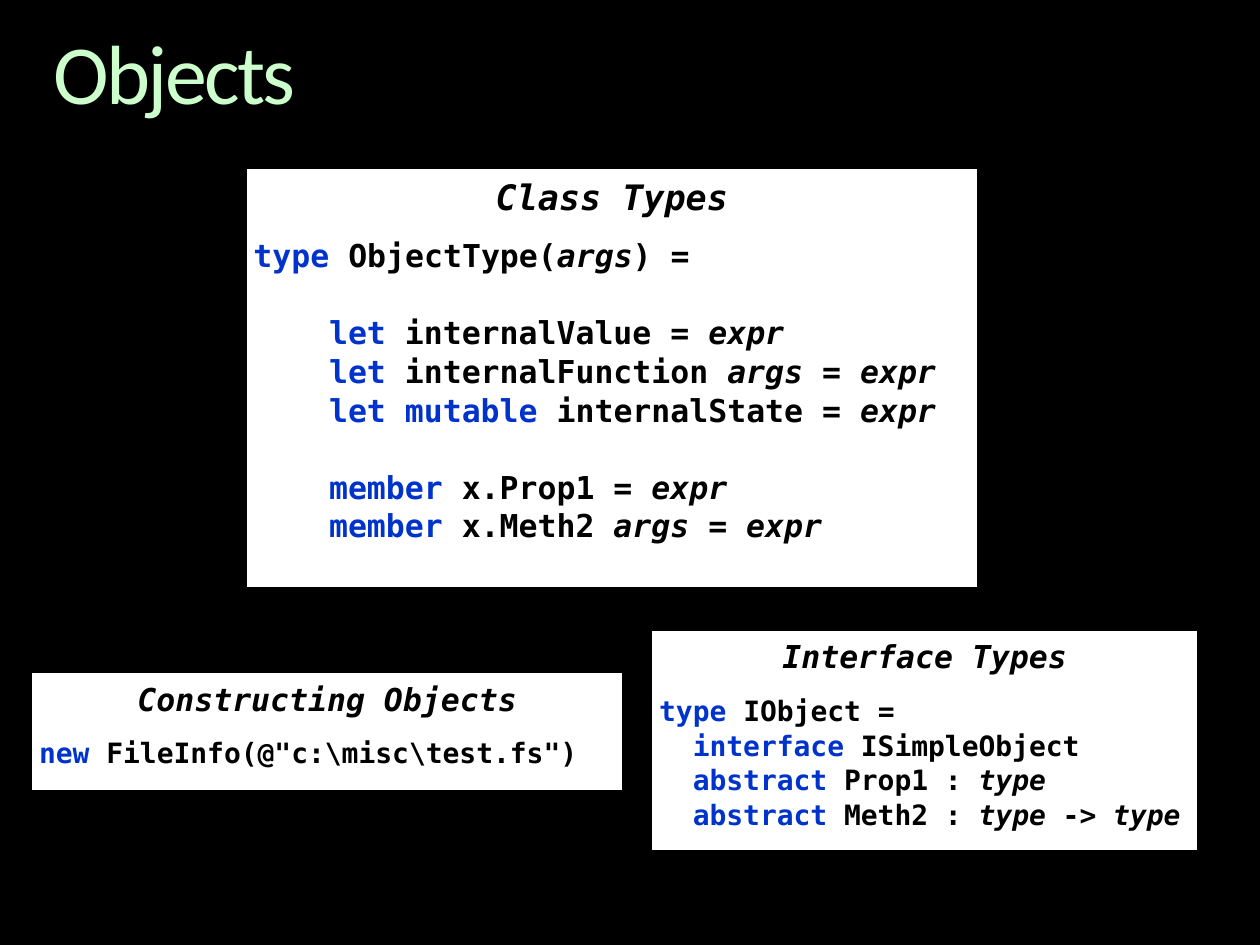
"""Build the slide that shows the syntax of object types."""
from dataclasses import dataclass

from pptx import Presentation
from pptx.dml.color import RGBColor
from pptx.enum.shapes import MSO_SHAPE
from pptx.enum.text import MSO_ANCHOR, MSO_AUTO_SIZE, PP_ALIGN
from pptx.slide import Slide
from pptx.util import Cm, Pt

RECTANGLE = MSO_SHAPE.RECTANGLE
TOP = MSO_ANCHOR.TOP
FIT_SHAPE = MSO_AUTO_SIZE.SHAPE_TO_FIT_TEXT
LEFT, CENTER = PP_ALIGN.LEFT, PP_ALIGN.CENTER

COLORS = {
    "background": "000000",
    "title": "CCFFCC",
    "panel": "FFFFFF",
    "code": "000000",
    "keyword": "0033CC",
}
TITLE_FONT = "Calibri"
CODE_FONT = "DejaVu Sans Mono"
CHARACTER_WIDTH = 0.6
LINE_SPACING = 1.03
LINE_HEIGHT = 1.2


@dataclass(frozen=True)
class Piece:
    text: str
    color: str = "code"
    italic: bool = False


@dataclass(frozen=True)
class Line:
    pieces: tuple[Piece, ...]
    indent: int = 0
    gap_before: bool = False


@dataclass(frozen=True)
class Panel:
    heading: str
    left: float
    top: float
    width: float
    height: float
    heading_size: int
    code_size: int
    lines: tuple[Line, ...]


def keyword(text: str) -> Piece:
    return Piece(text, color="keyword")


def variable(text: str) -> Piece:
    return Piece(text, italic=True)


EXPRESSION = variable("expr")
TYPE_NAME = variable("type")

PANELS = (
    Panel("Interface Types", 13.14, 12.7, 11, 4.45, 18, 16, (
        Line((keyword("type "), Piece("IObject ="))),
        Line((keyword("interface "), Piece("ISimpleObject")), 2),
        Line((keyword("abstract "), Piece("Prop1 : "), TYPE_NAME), 2),
        Line((keyword("abstract "), Piece("Meth2 : "), TYPE_NAME, Piece(" -> "), TYPE_NAME), 2),
    )),
    Panel("Class Types", 4.96, 3.39, 14.75, 8.46, 20, 18, (
        Line((keyword("type "), Piece("ObjectType("), variable("args"), Piece(") ="))),
        Line((keyword("let "), Piece("internalValue = "), EXPRESSION), 4, True),
        Line((keyword("let "), Piece("internalFunction "), variable("args "), Piece("= "), EXPRESSION), 4),
        Line((keyword("let mutable "), Piece("internalState = "), EXPRESSION), 4),
        Line((keyword("member "), Piece("x.Prop1 = "), EXPRESSION), 4, True),
        Line((keyword("member "), Piece("x.Meth2 "), variable("args"), Piece(" = "), EXPRESSION), 4),
    )),
    Panel("Constructing Objects", 0.64, 13.55, 11.91, 2.39, 18, 16, (
        Line((keyword("new "), Piece('FileInfo(@"c:\\misc\\test.fs")'))),
    )),
)


def color(name: str) -> RGBColor:
    return RGBColor.from_string(COLORS[name])


def format_title(slide: Slide, text: str) -> None:
    title = slide.shapes.title
    title.left, title.top, title.width, title.height = Cm(1.07), Cm(0.64), Cm(23.29), Cm(1.86)
    frame = title.text_frame
    frame.margin_left = frame.margin_right = frame.margin_top = frame.margin_bottom = 0
    frame.vertical_anchor = TOP
    frame.auto_size = FIT_SHAPE
    paragraph = frame.paragraphs[0]
    paragraph.alignment = LEFT
    paragraph.line_spacing = 0.9
    paragraph.font.name = TITLE_FONT
    paragraph.font.size = Pt(48)
    paragraph.font.color.rgb = color("title")
    run = paragraph.add_run()
    run.text = text
    run.font._element.set("spc", "-150")


def draw_panel(slide: Slide, panel: Panel) -> None:
    shape = slide.shapes.add_shape(
        RECTANGLE, Cm(panel.left), Cm(panel.top), Cm(panel.width), Cm(panel.height))
    shape.shadow.inherit = False
    shape.fill.solid()
    shape.fill.fore_color.rgb = color("panel")
    shape.line.color.rgb = color("background")
    shape.line.width = Pt(0.75)
    frame = shape.text_frame
    frame.word_wrap = True
    frame.vertical_anchor = TOP
    frame.margin_left = frame.margin_right = Cm(0.15)
    frame.margin_top = frame.margin_bottom = Cm(0.13)

    heading = frame.paragraphs[0]
    heading.alignment = CENTER
    heading.space_after = Pt(10)
    heading.line_spacing = LINE_SPACING
    heading.font.name = CODE_FONT
    heading.font.size = Pt(panel.heading_size)
    heading.font.bold = heading.font.italic = True
    heading.font.color.rgb = color("code")
    heading.add_run().text = panel.heading

    for line in panel.lines:
        paragraph = frame.add_paragraph()
        paragraph.alignment = LEFT
        paragraph.line_spacing = LINE_SPACING
        if line.gap_before:
            paragraph.space_before = Pt(panel.code_size * LINE_HEIGHT)
        indent = Pt(line.indent * CHARACTER_WIDTH * panel.code_size)
        paragraph._p.get_or_add_pPr().set("marL", str(int(indent)))
        paragraph.font.name = CODE_FONT
        paragraph.font.size = Pt(panel.code_size)
        paragraph.font.bold = True
        for piece in line.pieces:
            run = paragraph.add_run()
            run.text = piece.text
            run.font.italic = piece.italic
            run.font.color.rgb = color(piece.color)


def main() -> None:
    presentation = Presentation()
    presentation.slide_width, presentation.slide_height = Cm(25.4), Cm(19.05)
    slide = presentation.slides.add_slide(presentation.slide_layouts[5])
    slide.background.fill.solid()
    slide.background.fill.fore_color.rgb = color("background")
    format_title(slide, "Objects")
    for panel in PANELS:
        draw_panel(slide, panel)
    presentation.save("out.pptx")


if __name__ == "__main__":
    main()
